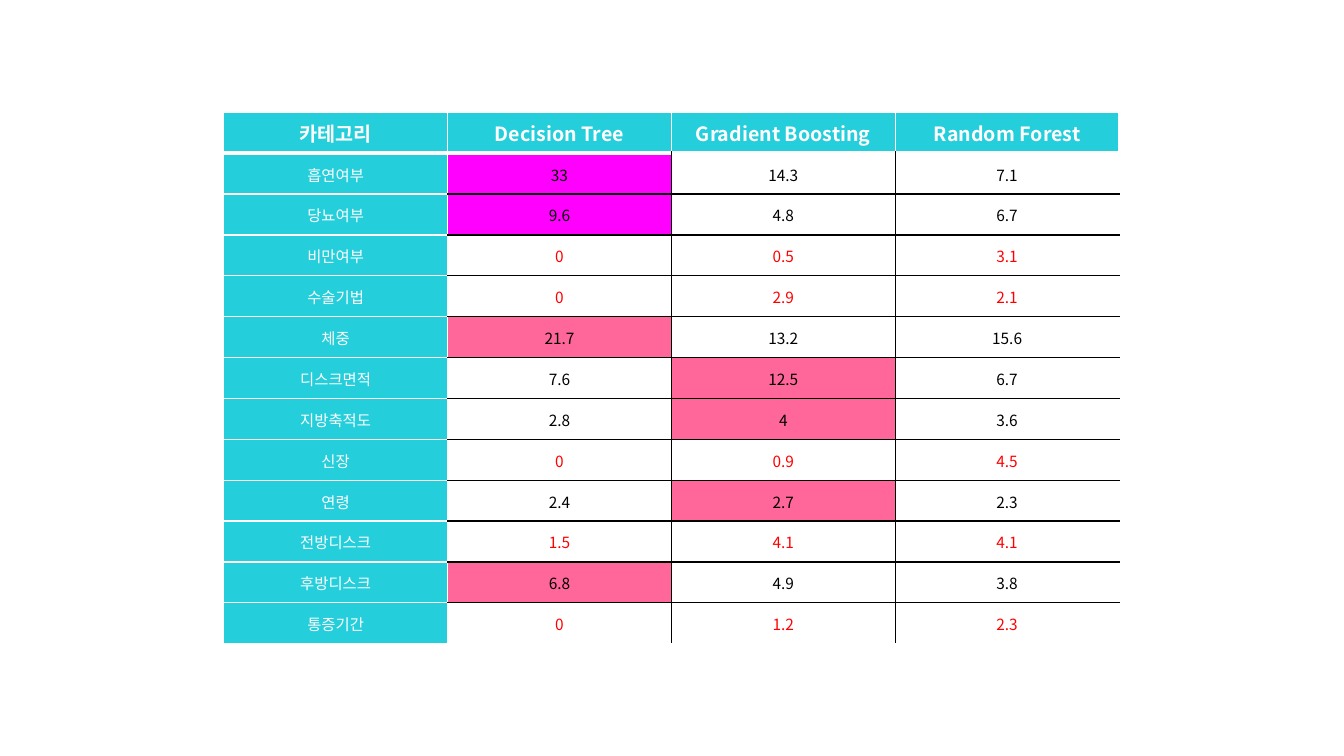
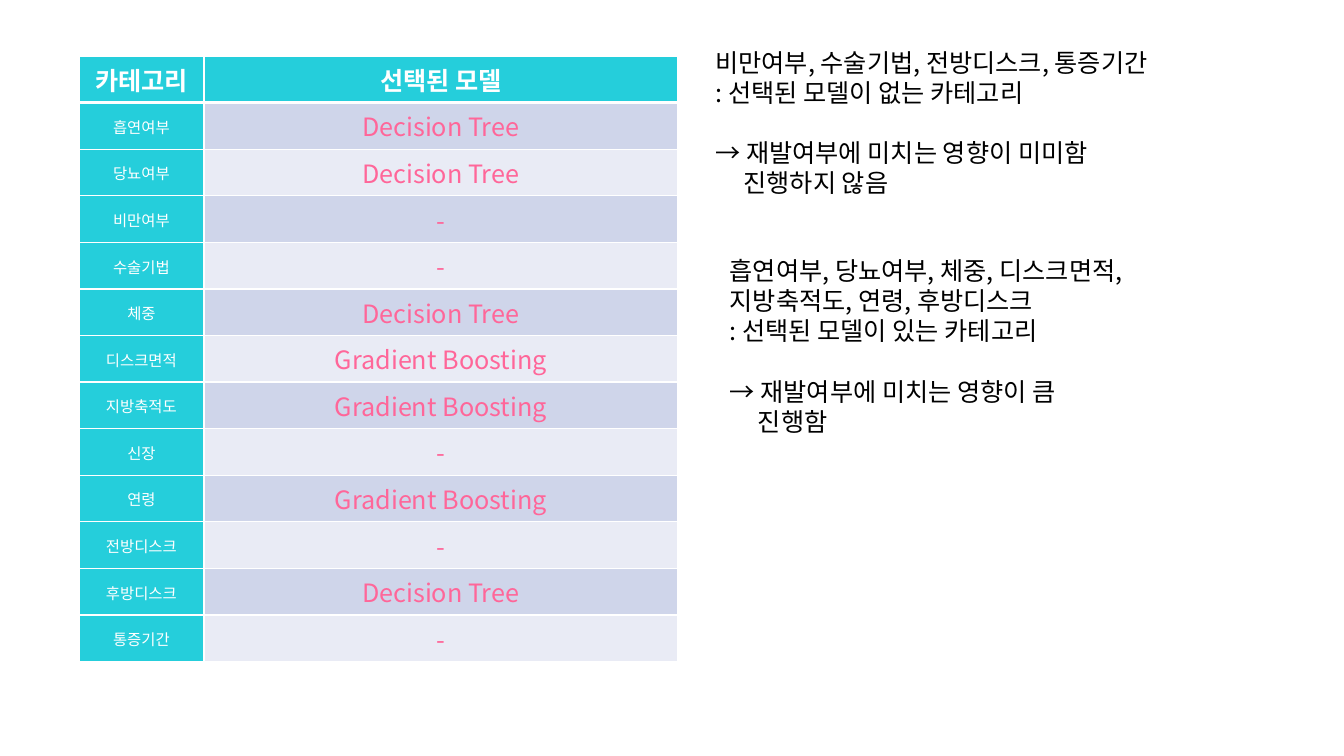
from lxml import etree
from pptx import Presentation
from pptx import util as u
from pptx.dml.color import RGBColor
from pptx.enum import text
from pptx.oxml import ns

FONT = "Noto Sans CJK KR"
COLORS = {
    "teal": "25CEDB", "white": "FFFFFF", "black": "000000", "red": "FF0000",
    "pink": "FF6699", "magenta": "FF00FF", "band_dark": "CFD5EA", "band_light": "E9EBF5",
}
DT, GB, RF, NONE = "Decision Tree", "Gradient Boosting", "Random Forest", "-"
MODELS = [DT, GB, RF]

# category, importance for each model, selected model
RESULTS = [
    ("흡연여부", ("33", "14.3", "7.1"), DT),
    ("당뇨여부", ("9.6", "4.8", "6.7"), DT),
    ("비만여부", ("0", "0.5", "3.1"), NONE),
    ("수술기법", ("0", "2.9", "2.1"), NONE),
    ("체중", ("21.7", "13.2", "15.6"), DT),
    ("디스크면적", ("7.6", "12.5", "6.7"), GB),
    ("지방축적도", ("2.8", "4", "3.6"), GB),
    ("신장", ("0", "0.9", "4.5"), NONE),
    ("연령", ("2.4", "2.7", "2.3"), GB),
    ("전방디스크", ("1.5", "4.1", "4.1"), NONE),
    ("후방디스크", ("6.8", "4.9", "3.8"), DT),
    ("통증기간", ("0", "1.2", "2.3"), NONE),
]
STRONGEST = ("흡연여부", "당뇨여부")

# left, top, width, height in cm; heading lines; conclusion; follow-up
NOTES = [
    ((17.78, 1.06, 12.62, 4.11),
     ["비만여부, 수술기법, 전방디스크, 통증기간", ": 선택된 모델이 없는 카테고리"],
     "→ 재발여부에 미치는 영향이 미미함", "진행하지 않음"),
    ((18.14, 6.32, 11.94, 4.88),
     ["흡연여부, 당뇨여부, 체중, 디스크면적, 지방축적도, 연령, 후방디스크",
      ": 선택된 모델이 있는 카테고리"],
     "→ 재발여부에 미치는 영향이 큼", "진행함"),
]
NOTE_LINE = u.Pt(21.5)


def write(p, content, size=18, color="black", bold=False, align=None,
          line=None, before=None, indent=None):
    p.alignment = align
    p.line_spacing = line
    p.space_before = before
    if indent:
        p._p.get_or_add_pPr().set("marL", str(indent))
    r = p.add_run()
    r.text = content
    r.font.name, r.font.size, r.font.bold = FONT, u.Pt(size), bold
    r.font.color.rgb = RGBColor.from_string(COLORS[color])
    etree.SubElement(r._r.get_or_add_rPr(), ns.qn("a:ea"), typeface=FONT)


def set_borders(cell, **sides):
    """Set borders; each side L, R, T, B is a (colour, points) pair."""
    tcPr = cell._tc.get_or_add_tcPr()
    for i, side in enumerate("LRTB"):
        color, width = sides.get(side, ("white", 1))
        ln = etree.Element(ns.qn(f"a:ln{side}"), w=str(u.Pt(width)))
        fill = etree.SubElement(ln, ns.qn("a:solidFill"))
        etree.SubElement(fill, ns.qn("a:srgbClr"), val=COLORS[color])
        tcPr.insert(i, ln)


def fill_cell(cell, content, fill, tight=True, borders=None, **fmt):
    cell.fill.solid()
    cell.fill.fore_color.rgb = RGBColor.from_string(COLORS[fill])
    if tight:
        cell.vertical_anchor = text.MSO_ANCHOR.MIDDLE
        cell.margin_left = cell.margin_right = cell.margin_top = u.Cm(0.03)
        cell.margin_bottom = 0
    set_borders(cell, **(borders or {}))
    write(cell.text_frame.paragraphs[0], content, align=text.PP_ALIGN.CENTER, **fmt)


def add_category_table(slide, left, top, widths, row_height, headers, header_size, tight):
    """Add a table with its header row and category column filled."""
    rows = len(RESULTS) + 1
    table = slide.shapes.add_table(
        rows, len(widths), u.Cm(left), u.Cm(top),
        u.Cm(sum(widths)), u.Cm(row_height * rows)).table
    table.first_row = table.horz_banding = False
    for column, width in zip(table.columns, widths):
        column.width = u.Cm(width)
    for row in table.rows:
        row.height = u.Cm(row_height)
    for c, header in enumerate(headers):
        fill_cell(table.cell(0, c), header, "teal", tight, {"B": ("white", 3)},
                  size=header_size, color="white", bold=True)
    for r, (category, _, _) in enumerate(RESULTS, 1):
        fill_cell(table.cell(r, 0), category, "teal", size=11, color="white")
    return table


def build_importance_slide(slide):
    table = add_category_table(slide, 5.64, 2.83, [5.64] * 4, 1.03,
                               ["카테고리"] + MODELS, 14, True)
    for r, (category, values, selected) in enumerate(RESULTS, 1):
        highlight = "magenta" if category in STRONGEST else "pink"
        for c, (model, value) in enumerate(zip(MODELS, values), 1):
            inner = {"L": c > 1, "R": c < len(MODELS), "T": r > 1, "B": r < len(RESULTS)}
            fill_cell(table.cell(r, c), value,
                      highlight if model == selected else "white",
                      borders={side: ("black" if on else "white", 1)
                               for side, on in inner.items()},
                      size=11, color="red" if selected == NONE else "black")


def add_note(slide, box, headings, conclusion, follow_up):
    tf = slide.shapes.add_textbox(*map(u.Cm, box)).text_frame
    tf.word_wrap = True
    lines = [(heading, {}) for heading in headings]
    lines += [(conclusion, {"before": NOTE_LINE}), (follow_up, {"indent": u.Cm(0.71)})]
    for i, (line, fmt) in enumerate(lines):
        p = tf.add_paragraph() if i else tf.paragraphs[0]
        write(p, line, line=NOTE_LINE, **fmt)


def build_selection_slide(slide):
    table = add_category_table(slide, 1.99, 1.41, [3.15, 11.94], 1.17,
                               ["카테고리", "선택된 모델"], 18, False)
    for r, (_, _, selected) in enumerate(RESULTS, 1):
        fill_cell(table.cell(r, 1), selected, "band_dark" if r % 2 else "band_light",
                  tight=False, color="pink")
    for note in NOTES:
        add_note(slide, *note)


def main():
    prs = Presentation()
    prs.slide_width, prs.slide_height = u.Cm(33.87), u.Cm(19.05)
    for build in (build_importance_slide, build_selection_slide):
        build(prs.slides.add_slide(prs.slide_layouts[6]))
    prs.save("out.pptx")


if __name__ == "__main__":
    main()
